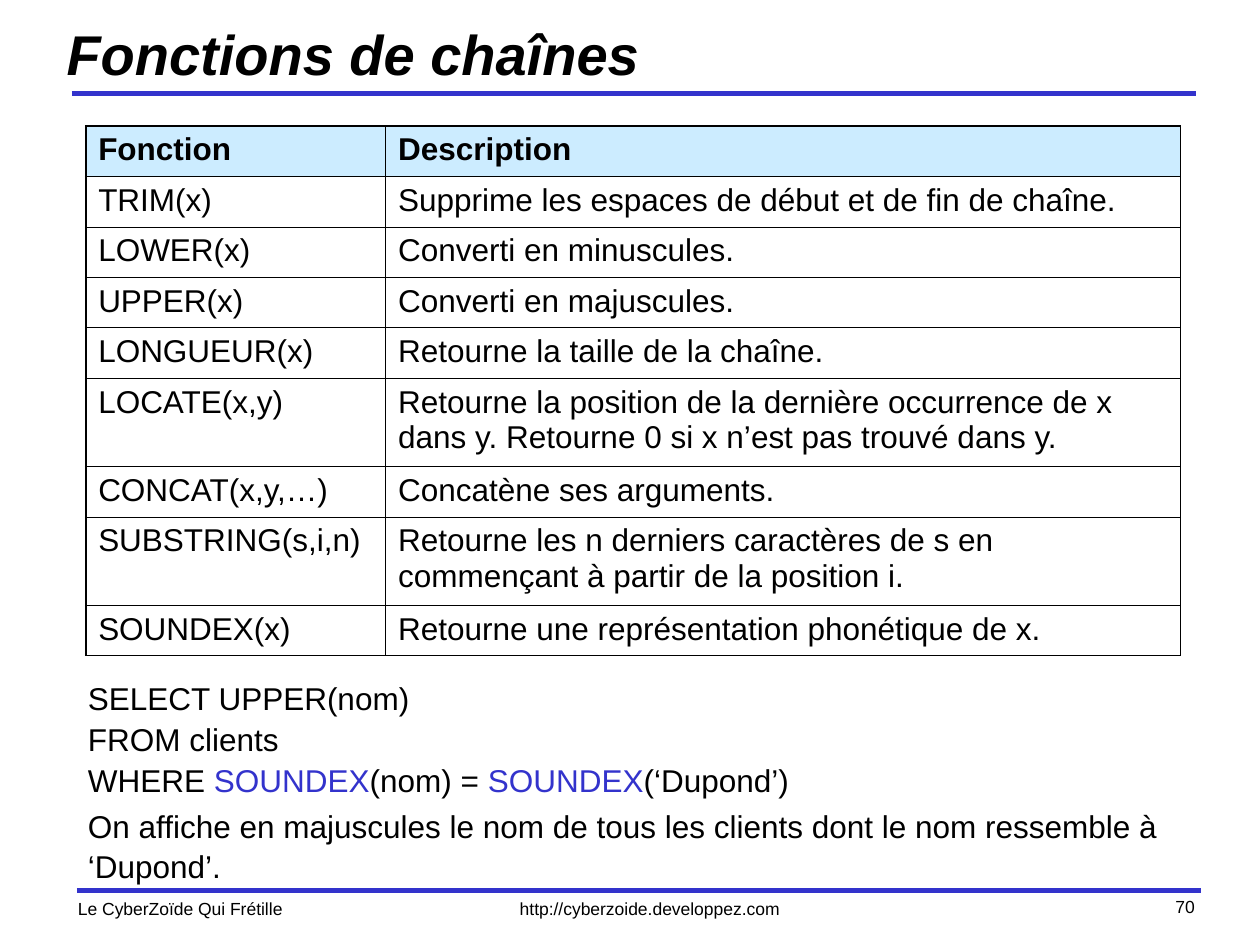
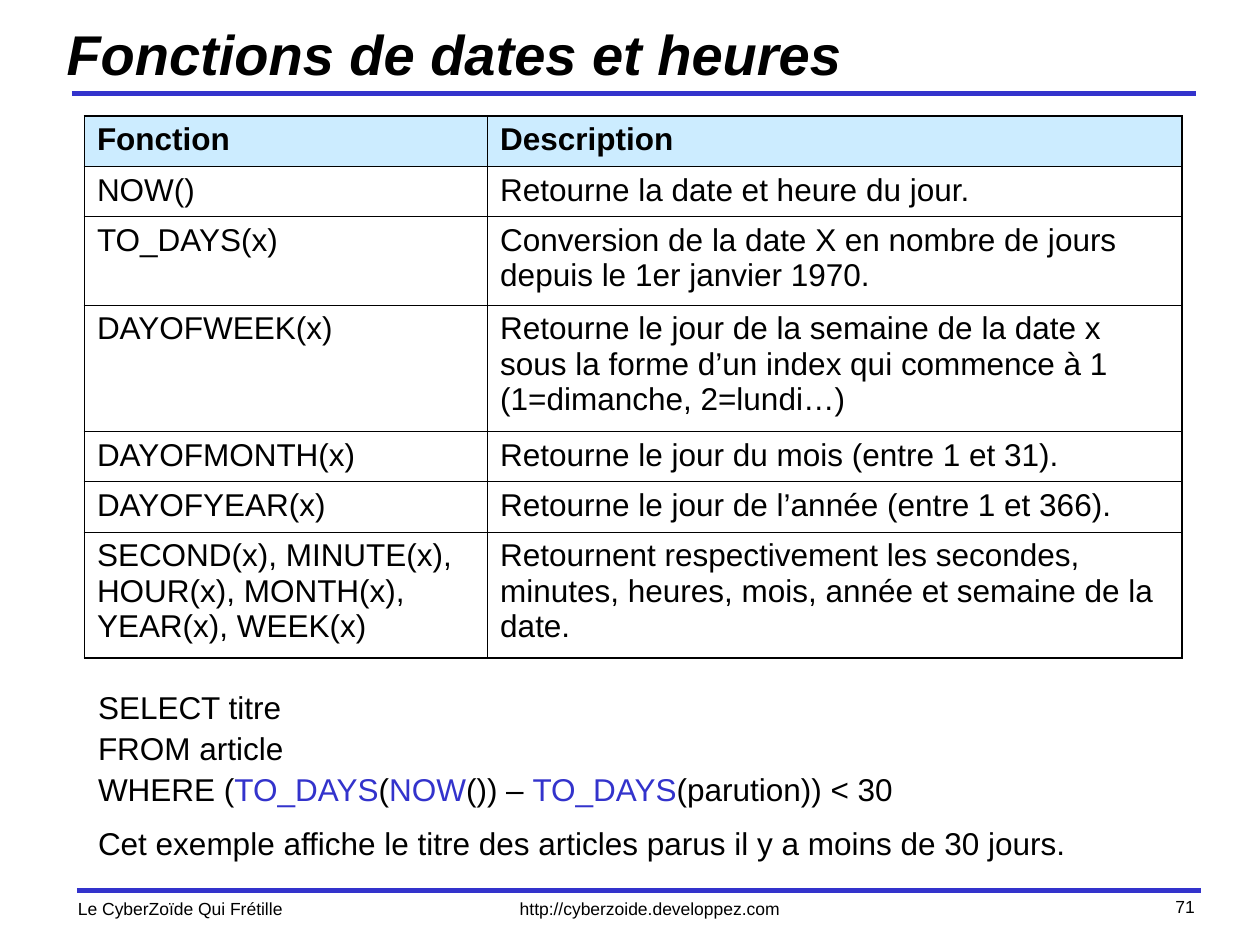
from dataclasses import dataclass

from lxml import etree
from pptx import Presentation
from pptx import util as u
from pptx.dml.color import RGBColor
from pptx.enum import shapes, text
from pptx.oxml.ns import qn


@dataclass(frozen=True)
class Theme:
    font: str = "Arial"
    ink: str = "000000"
    accent: str = "3333CC"
    header_fill: str = "CCECFF"
    cell_fill: str = "FFFFFF"
    title_size: int = 32
    body_size: int = 18
    footer_size: int = 10
    body_spacing: float = 1.08
    rule_width: float = 3
    outer_border: float = 1.08
    inner_border: float = 0.45


theme = Theme()


def add_run(paragraph, words, size, color=theme.ink, bold=False, italic=False):
    run = paragraph.add_run()
    run.text = words
    run.font.name = theme.font
    run.font.size = u.Pt(size)
    run.font.bold = bold
    run.font.italic = italic
    run.font.color.rgb = RGBColor.from_string(color)


def add_text(slide, box, lines, size, align=text.PP_ALIGN.LEFT, spacing=1.0,
             anchor=text.MSO_ANCHOR.TOP, **style):
    """Each line is a list of runs; every second run takes the accent colour."""
    shape = slide.shapes.add_textbox(*map(u.Inches, box))
    frame = shape.text_frame
    frame.word_wrap = True
    frame.vertical_anchor = anchor
    for number, runs in enumerate(lines):
        paragraph = frame.paragraphs[0] if number == 0 else frame.add_paragraph()
        paragraph.alignment = align
        paragraph.line_spacing = spacing
        for position, words in enumerate(runs):
            color = theme.accent if position % 2 else theme.ink
            add_run(paragraph, words, size, color, **style)


# Content of the slides
pages = [
    {
        "title": "Fonctions de chaînes",
        "number": "70",
        "table_at": (0.68, 1.0),
        "columns": (2.38, 6.31),
        "heights": (0.4, 0.4, 0.4, 0.4, 0.4, 0.7, 0.4, 0.7, 0.4),
        "functions": [
            ("TRIM(x)", "Supprime les espaces de début et de fin de chaîne."),
            ("LOWER(x)", "Converti en minuscules."),
            ("UPPER(x)", "Converti en majuscules."),
            ("LONGUEUR(x)", "Retourne la taille de la chaîne."),
            ("LOCATE(x,y)", "Retourne la position de la dernière occurrence de x "
                            "dans y. Retourne 0 si x n’est pas trouvé dans y."),
            ("CONCAT(x,y,…)", "Concatène ses arguments."),
            ("SUBSTRING(s,i,n)", "Retourne les n derniers caractères de s en "
                                 "commençant à partir de la position i."),
            ("SOUNDEX(x)", "Retourne une représentation phonétique de x."),
        ],
        "query_box": (0.6, 5.32, 5.8, 1.0),
        "query": [
            ["SELECT UPPER(nom)"],
            ["FROM clients"],
            ["WHERE ", "SOUNDEX", "(nom) = ", "SOUNDEX", "(‘Dupond’)"],
        ],
        "comment_box": (0.6, 6.33, 8.93, 0.7),
        "comment": "On affiche en majuscules le nom de tous les clients dont "
                   "le nom ressemble à ‘Dupond’.",
    },
    {
        "title": "Fonctions de dates et heures",
        "number": "71",
        "table_at": (0.67, 0.92),
        "columns": (3.2, 5.51),
        "heights": (0.4, 0.4, 0.7, 1.0, 0.4, 0.4, 1.0),
        "functions": [
            ("NOW()", "Retourne la date et heure du jour."),
            ("TO_DAYS(x)", "Conversion de la date X en nombre de jours depuis "
                           "le 1er janvier 1970."),
            ("DAYOFWEEK(x)", "Retourne le jour de la semaine de la date x sous la "
                             "forme d’un index qui commence à 1 "
                             "(1=dimanche, 2=lundi…)"),
            ("DAYOFMONTH(x)", "Retourne le jour du mois (entre 1 et 31)."),
            ("DAYOFYEAR(x)", "Retourne le jour de l’année (entre 1 et 366)."),
            ("SECOND(x), MINUTE(x), HOUR(x), MONTH(x), YEAR(x), WEEK(x)",
             "Retournent respectivement les secondes, minutes, heures, mois, "
             "année et semaine de la date."),
        ],
        "query_box": (0.68, 5.39, 8.54, 1.0),
        "query": [
            ["SELECT titre"],
            ["FROM article"],
            ["WHERE (", "TO_DAYS", "(", "NOW", "()) – ", "TO_DAYS",
             "(parution)) < 30"],
        ],
        "comment_box": (0.68, 6.47, 8.54, 0.4),
        "comment": "Cet exemple affiche le titre des articles parus il y a moins "
                   "de 30 jours.",
    },
]

presentation = Presentation()
presentation.slide_width = u.Inches(10)
presentation.slide_height = u.Inches(7.5)

for page in pages:
    slide = presentation.slides.add_slide(presentation.slide_layouts[6])

    # Rules above the footer and under the title
    for left, top in ((0.61, 7.07), (0.57, 0.74)):
        rule = slide.shapes.add_connector(
            shapes.MSO_CONNECTOR.STRAIGHT, u.Inches(left), u.Inches(top),
            u.Inches(left + 8.92), u.Inches(top))
        rule.line.color.rgb = RGBColor.from_string(theme.accent)
        rule.line.width = u.Pt(theme.rule_width)
        etree.SubElement(rule._element.spPr, qn("a:effectLst"))

    # Footer and title
    for box, words, align in (
        ((3.65, 7.08, 3.01, 0.27), "http://cyberzoide.developpez.com",
         text.PP_ALIGN.CENTER),
        ((0.52, 7.08, 3.01, 0.27), "Le CyberZoïde Qui Frétille",
         text.PP_ALIGN.LEFT),
        ((7.5, 7.06, 2.08, 0.33), page["number"], text.PP_ALIGN.RIGHT),
    ):
        add_text(slide, box, [[words]], theme.footer_size, align)
    add_text(slide, (0.43, 0.09, 8.96, 0.67), [[page["title"]]], theme.title_size,
             anchor=text.MSO_ANCHOR.MIDDLE, bold=True, italic=True)

    # Table of functions
    rows = [("Fonction", "Description")] + page["functions"]
    last_row, last_column = len(rows) - 1, len(page["columns"]) - 1
    left, top = page["table_at"]
    table = slide.shapes.add_table(
        len(rows), len(page["columns"]), u.Inches(left), u.Inches(top),
        u.Inches(sum(page["columns"])), u.Inches(sum(page["heights"]))).table
    table.horz_banding = False
    for column, width in zip(table.columns, page["columns"]):
        column.width = u.Inches(width)
    for row, height in zip(table.rows, page["heights"]):
        row.height = u.Inches(height)

    for i, row in enumerate(rows):
        for j, words in enumerate(row):
            cell = table.cell(i, j)
            cell.margin_left = cell.margin_right = u.Inches(0.1)
            cell.margin_top = cell.margin_bottom = u.Inches(0.05)
            add_run(cell.text_frame.paragraphs[0], words, theme.body_size,
                    bold=i == 0)

            # Heavier borders around the outside
            properties = cell._tc.get_or_add_tcPr()
            for side, is_outer in (("L", j == 0), ("R", j == last_column),
                                   ("T", i == 0), ("B", i == last_row)):
                width = theme.outer_border if is_outer else theme.inner_border
                border = etree.SubElement(properties, qn(f"a:ln{side}"),
                                          w=str(u.Pt(width)))
                fill = etree.SubElement(border, qn("a:solidFill"))
                etree.SubElement(fill, qn("a:srgbClr"), val=theme.ink)
            cell.fill.solid()
            cell.fill.fore_color.rgb = RGBColor.from_string(
                theme.header_fill if i == 0 else theme.cell_fill)

    # Sample query and its explanation
    for box, lines in ((page["query_box"], page["query"]),
                       (page["comment_box"], [[page["comment"]]])):
        add_text(slide, box, lines, theme.body_size, spacing=theme.body_spacing)

presentation.save("out.pptx")
